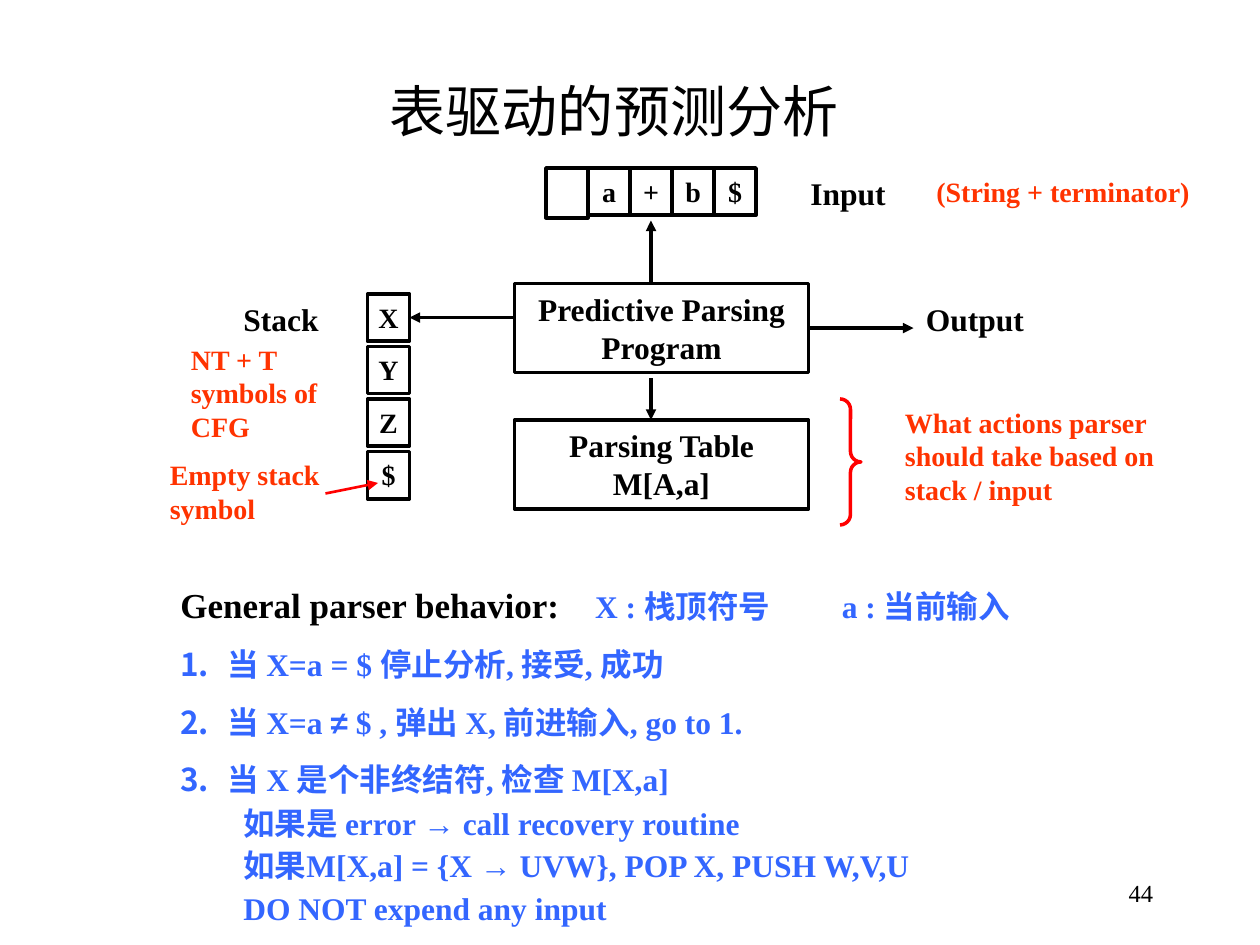
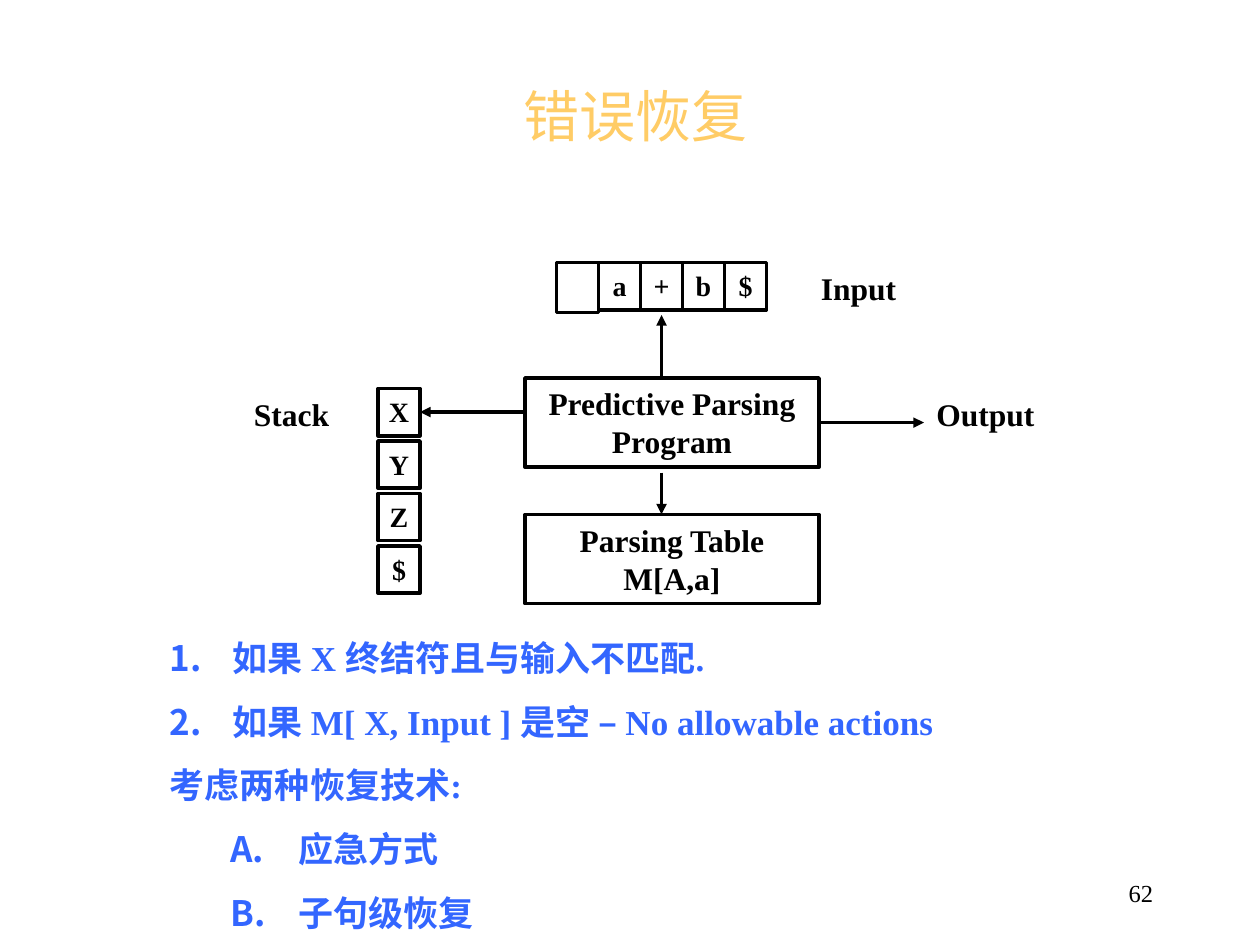
from lxml.etree import SubElement
from pptx import Presentation
from pptx.dml.color import RGBColor
from pptx.enum.shapes import MSO_CONNECTOR as CONN, MSO_SHAPE as SHAPE
from pptx.enum.text import MSO_ANCHOR as ANCHOR, MSO_AUTO_SIZE as AUTO, PP_ALIGN as ALIGN
from pptx.oxml.ns import qn
from pptx.util import Pt

PX = 9525  # EMU in one px, 96 px to the inch
TITLE_ONLY = 5

BLACK = RGBColor(0x00, 0x00, 0x00)
GOLD = RGBColor(0xFF, 0xCC, 0x66)
ORANGE = RGBColor(0xFF, 0x33, 0x00)
RED = RGBColor(0xFF, 0x00, 0x00)
BLUE = RGBColor(0x33, 0x66, 0xFF)

SERIF = "Times New Roman"
SANS = "Arial"
LABEL = dict(name=SERIF, size=Pt(18), bold=True, color=BLACK)
CELL = {**LABEL, "size": Pt(16)}
NOTE = {**CELL, "color": ORANGE}
RULE = {**LABEL, "color": BLUE}
HEADING = {**LABEL, "size": Pt(20)}
RECOVERY = {**HEADING, "color": BLUE}
SYMBOL = {**RULE, "name": SANS}
PAGE = dict(name=SERIF, size=Pt(14), bold=False, color=BLACK)
TITLE = dict(name=SANS, size=Pt(32), bold=False, color=BLACK)


def px(*lengths):
    return [n * PX for n in lengths]


def add_run(p, text, fmt):
    r = p.add_run()
    r.text = text
    for key, value in fmt.items():
        if key == "color":
            r.font.color.rgb = value
        else:
            setattr(r.font, key, value)


def set_indent(p, left, hanging=0):
    ppr = p._p.get_or_add_pPr()
    ppr.set("marL", str(left * PX))
    ppr.set("indent", str(-hanging * PX))


def set_number(p, scheme, font=None):
    ppr = p._p.get_or_add_pPr()
    if font:
        SubElement(ppr, qn("a:buFont"), typeface=font)
    SubElement(ppr, qn("a:buAutoNum"), type=scheme)


def set_tabs(p, *stops):
    tabs = SubElement(p._p.get_or_add_pPr(), qn("a:tabLst"))
    for stop in stops:
        SubElement(tabs, qn("a:tab"), pos=str(stop * PX), algn="l")


def add_text(s, box, text, fmt, align=ALIGN.LEFT, anchor=ANCHOR.TOP):
    """Add a wrapping text box; an empty text leaves its first paragraph bare."""
    tf = s.shapes.add_textbox(*px(*box)).text_frame
    tf.word_wrap = True
    tf.vertical_anchor = anchor
    tf.paragraphs[0].alignment = align
    if text:
        add_run(tf.paragraphs[0], text, fmt)
    return tf


def add_outline(s, kind, box, color):
    sp = s.shapes.add_shape(kind, *px(*box))
    sp.shadow.inherit = False
    sp.fill.background()
    sp.line.color.rgb = color
    sp.line.width = Pt(2)
    return sp


def add_box(s, box, text, fmt, side_inset):
    sp = add_outline(s, SHAPE.RECTANGLE, box, BLACK)
    tf = sp.text_frame
    tf.word_wrap = True
    tf.vertical_anchor = ANCHOR.TOP
    tf.margin_left = tf.margin_right = side_inset * PX
    if text:
        tf.paragraphs[0].alignment = ALIGN.CENTER
        add_run(tf.paragraphs[0], text, fmt)
    return sp


def add_arrow(s, start, end, color=BLACK, width=2):
    c = s.shapes.add_connector(CONN.STRAIGHT, *px(*start, *end))
    c.line.color.rgb = color
    c.line.width = Pt(width)
    SubElement(c.line._get_or_add_ln(), qn("a:tailEnd"), type="triangle")
    SubElement(c._element.spPr, qn("a:effectLst"))
    return c


def new_slide(prs, title, color, box, number):
    s = prs.slides.add_slide(prs.slide_layouts[TITLE_ONLY])
    sp = s.shapes.title
    sp.left, sp.top, sp.width, sp.height = px(*box)
    tf = sp.text_frame
    tf.auto_size = AUTO.NONE
    tf.vertical_anchor = ANCHOR.MIDDLE
    p = tf.paragraphs[0]
    p.alignment = ALIGN.CENTER
    add_run(p, title, {**TITLE, "color": color})
    add_text(s, (688, 656, 200, 48), number, PAGE, ALIGN.RIGHT, ANCHOR.MIDDLE)
    return s


def add_parser_diagram(s, dx=0, dy=0):
    """Draw input tape, stack, program and table, all moved by dx and dy."""
    def at(x, y, *size):
        return (x + dx, y + dy, *size)

    for i, symbol in enumerate(["", "a", "+", "b", "$"]):
        height = 36 if symbol else 38
        add_box(s, at(416 + 32 * i, 128, 32, height), symbol, CELL, 0)
    stack = [add_box(s, at(280, 224 + 40 * i, 32, 36), symbol, CELL, 0)
             for i, symbol in enumerate("XYZ$")]
    program = add_box(s, at(392, 216, 224, 68), "Predictive Parsing Program", LABEL, 10)
    add_box(s, at(392, 320, 224, 68), "Parsing Table M[A,a]", LABEL, 10)

    for text, x, y, width in [("Input", 608, 128, 88), ("Stack", 176, 224, 88),
                              ("Output", 696, 224, 120)]:
        add_text(s, at(x, y, width, 38), text, LABEL)

    add_arrow(s, at(496, 216), at(496, 168))
    add_arrow(s, at(496, 288), at(496, 320))
    add_arrow(s, at(392, 242), at(312, 242)).end_connect(stack[0], 3)
    add_arrow(s, at(616, 250), at(696, 250)).begin_connect(program, 3)


def add_diagram_notes(s):
    for text, box in [
        ("(String + terminator)", (704, 128, 216, 36)),
        ("NT + T symbols of CFG", (136, 256, 120, 86)),
        ("Empty stack symbol", (120, 344, 144, 62)),
        ("What actions parser should take based on stack / input", (680, 304, 224, 86)),
    ]:
        add_text(s, box, text, NOTE)
    add_arrow(s, (248, 376), (288, 368), RED, 1.5)
    brace = add_outline(s, SHAPE.RIGHT_BRACE, (640, 304, 16, 96), RED)
    brace.adjustments[0] = 0.5


def add_behavior(s):
    tf = add_text(s, (128, 440, 760, 270), "", RULE)
    p = tf.paragraphs[0]
    set_tabs(p, 316, 504)
    add_run(p, "General parser behavior:", HEADING)
    add_run(p, "\tX : 栈顶符号\ta : 当前输入", RULE)

    steps = [
        [("当 X=a = $ 停止分析, 接受, 成功", RULE)],
        [("当 X=a ", RULE), ("≠", SYMBOL), (" $ , 弹出 X, 前进输入, go to 1.", RULE)],
        [("当 X 是个非终结符, 检查 M[X,a]", RULE)],
    ]
    cases = [
        [("如果是 error ", RULE), ("→", SYMBOL), (" call recovery routine", RULE)],
        [("如果M[X,a] = {X ", RULE), ("→", SYMBOL),
         (" UVW}, POP X, PUSH W,V,U", RULE)],
        [("DO NOT expend any input", RULE)],
    ]
    for i, runs in enumerate(steps + cases):
        p = tf.add_paragraph()
        if i < len(steps):
            set_indent(p, 36, 36)
            set_number(p, "arabicPeriod", SERIF)
        else:
            p.level = 1
            set_indent(p, 48)
            p.line_spacing = 0.6
        p.space_before = Pt(11.2)
        for text, fmt in runs:
            add_run(p, text, fmt)


def add_recovery(s):
    tf = add_text(s, (120, 480, 816, 236), "", RECOVERY)
    lines = [
        ("如果 X 终结符且与输入不匹配.", (48, 48), ("arabicPeriod",)),
        ("如果 M[ X, Input ] 是空 – No allowable actions", (48, 48), ("arabicPeriod",)),
        ("考虑两种恢复技术:", (0, 0), None),
        ("应急方式", (98, 52), ("alphaUcPeriod", SERIF)),
        ("子句级恢复", (98, 52), ("alphaUcPeriod", SERIF)),
    ]
    for i, (text, indent, number) in enumerate(lines):
        p = tf.add_paragraph() if i else tf.paragraphs[0]
        set_indent(p, *indent)
        if number:
            set_number(p, *number)
        if i:
            p.space_before = Pt(12.5)
        add_run(p, text, RECOVERY)


def main():
    prs = Presentation()
    prs.slide_width, prs.slide_height = px(960, 720)

    s = new_slide(prs, "表驱动的预测分析", BLACK, (72, 64, 792, 40), "44")
    add_parser_diagram(s)
    add_diagram_notes(s)
    add_behavior(s)

    s = new_slide(prs, "错误恢复", GOLD, (72, 64, 824, 48), "62")
    add_parser_diagram(s, 8, 72)
    add_recovery(s)

    prs.save("out.pptx")


if __name__ == "__main__":
    main()
